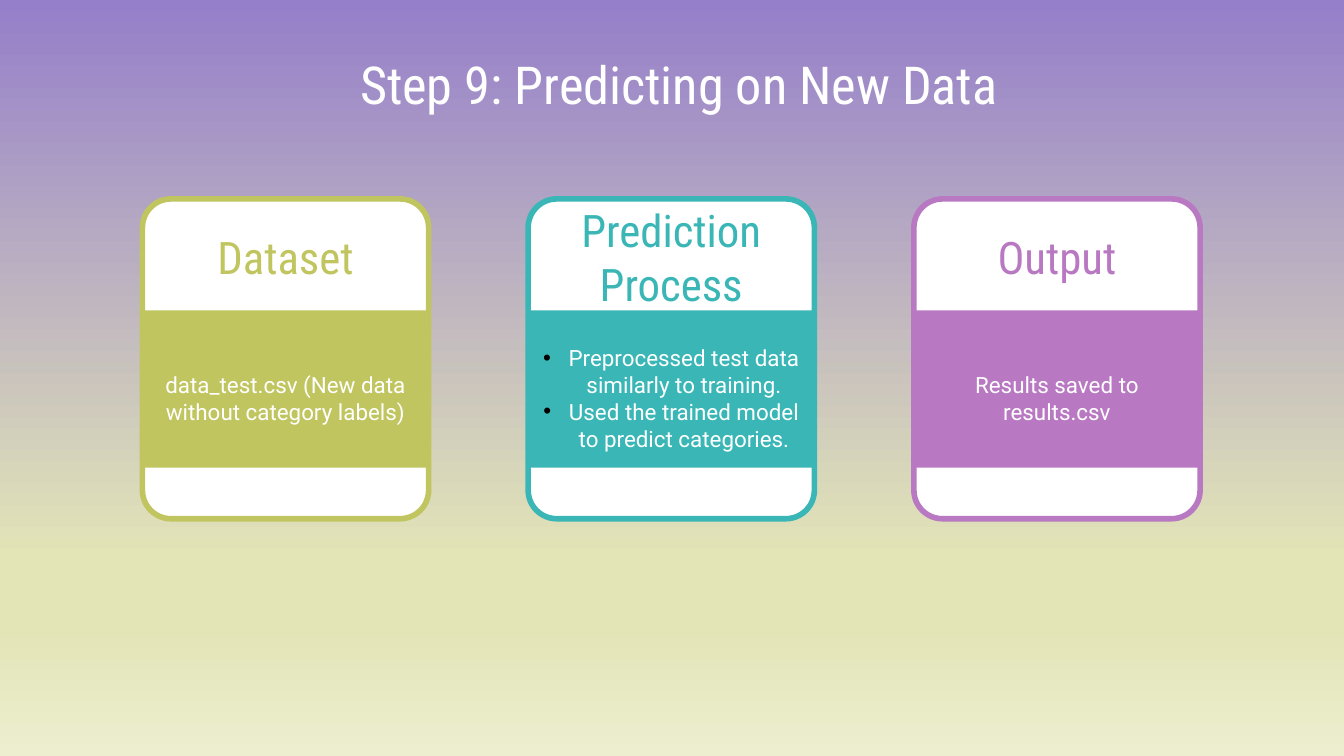
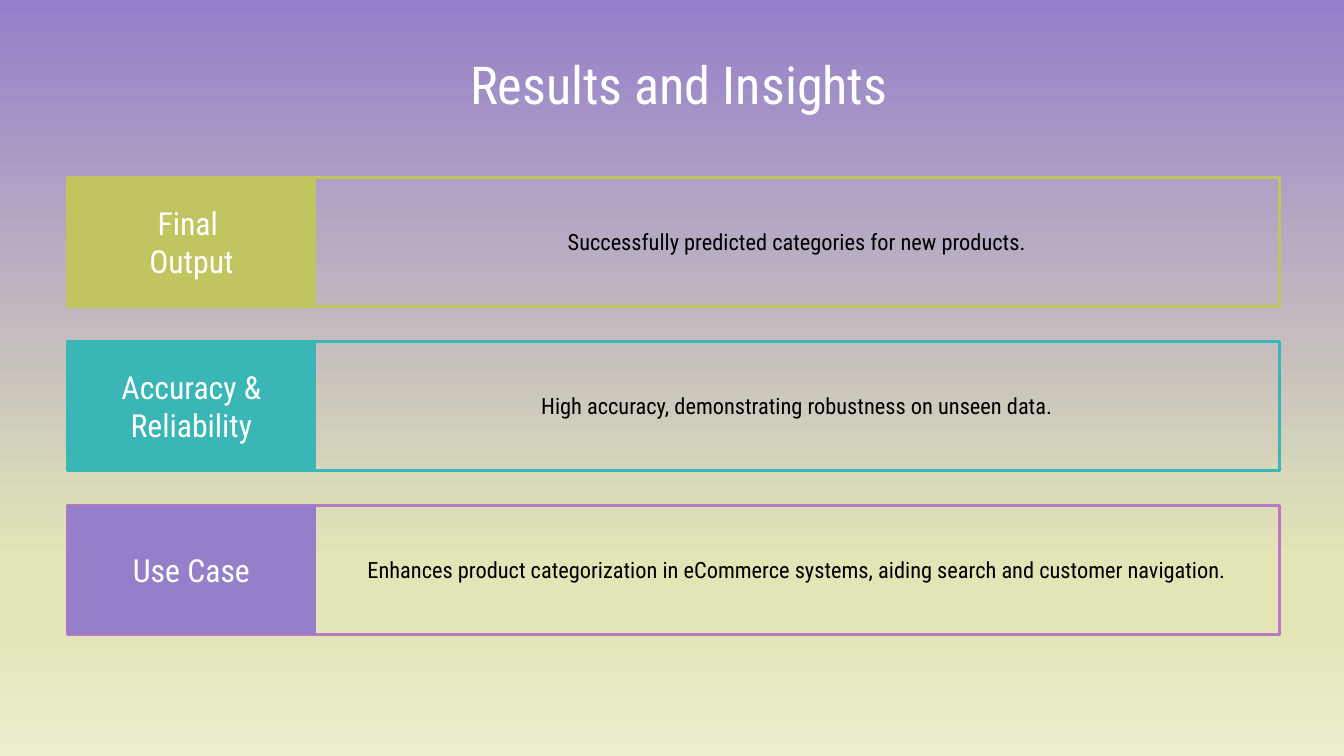
from lxml import etree
from pptx import Presentation
from pptx.dml.color import RGBColor
from pptx.enum import shapes, text
from pptx.oxml.ns import qn
from pptx.util import Inches, Pt

WHITE = RGBColor(0xFF, 0xFF, 0xFF)
BLACK = RGBColor(0x00, 0x00, 0x00)
OLIVE = RGBColor(0xC0, 0xC5, 0x5F)
TEAL = RGBColor(0x39, 0xB6, 0xB5)
ORCHID = RGBColor(0xB8, 0x78, 0xC2)
VIOLET = RGBColor(0x95, 0x7F, 0xCA)
CREAM = RGBColor(0xE3, 0xE5, 0xB7)
PALE = RGBColor(0xEC, 0xEE, 0xCF)

BACKGROUND_STOPS = [(0, VIOLET), (74, CREAM), (83, CREAM), (100, PALE)]
HEADING_FONT = "Roboto Condensed"
BODY_FONT = "Roboto"
RECTANGLE = shapes.MSO_SHAPE.RECTANGLE
ROUNDED = shapes.MSO_SHAPE.ROUNDED_RECTANGLE


class Deck:
    """Holds the shared style and the slide being filled."""

    def __init__(self):
        self.presentation = Presentation()
        self.presentation.slide_width = Inches(10)
        self.presentation.slide_height = Inches(10 * 9 / 16)
        self.slide = None

    def new_slide(self, title):
        blank = self.presentation.slide_layouts[6]
        self.slide = self.presentation.slides.add_slide(blank)
        self.paint_background()
        self.text(2.35, 0.45, 5.4, 0.35, [title], 28, WHITE)

    def paint_background(self):
        fill = self.slide.background.fill
        fill.gradient()
        fill.gradient_angle = 270
        stops = next(self.slide.element.iter(qn("a:gsLst")))
        for stop in list(stops):
            stops.remove(stop)
        for percent, color in BACKGROUND_STOPS:
            stop = etree.SubElement(stops, qn("a:gs"), pos=str(percent * 1000))
            etree.SubElement(stop, qn("a:srgbClr"), val=str(color))

    def box(self, kind, left, top, width, height, fill=None, line=None, weight=1.5, corner=None):
        shape = self.slide.shapes.add_shape(
            kind, Inches(left), Inches(top), Inches(width), Inches(height))
        shape.shadow.inherit = False
        if corner is not None:
            shape.adjustments[0] = corner
        if fill is None:
            shape.fill.background()
        else:
            shape.fill.solid()
            shape.fill.fore_color.rgb = fill
        if line is None:
            shape.line.fill.background()
        else:
            shape.line.color.rgb = line
            shape.line.width = Pt(weight)

    def text(self, left, top, width, height, lines, size, color,
             font=HEADING_FONT, inset=0.1, bullets=False):
        """Adds centred text, one paragraph a line; inset is the top and bottom margin."""
        shape = self.slide.shapes.add_textbox(
            Inches(left), Inches(top), Inches(width), Inches(height))
        frame = shape.text_frame
        frame.word_wrap = True
        frame.vertical_anchor = text.MSO_ANCHOR.MIDDLE
        frame.margin_left = frame.margin_right = Inches(0.1)
        frame.margin_top = frame.margin_bottom = Inches(inset)
        for index, line in enumerate(lines):
            paragraph = frame.add_paragraph() if index else frame.paragraphs[0]
            paragraph.alignment = text.PP_ALIGN.CENTER
            if bullets:
                self.bullet(paragraph)
            run = paragraph.add_run()
            run.text = line
            run.font.size = Pt(size)
            run.font.name = font
            run.font.color.rgb = color

    def bullet(self, paragraph):
        properties = paragraph._p.get_or_add_pPr()
        indent = Inches(0.19)
        properties.set("marL", str(indent))
        properties.set("indent", str(-indent))
        color = etree.SubElement(properties, qn("a:buClr"))
        etree.SubElement(color, qn("a:srgbClr"), val=str(BLACK))
        etree.SubElement(properties, qn("a:buFont"), typeface="Arial")
        etree.SubElement(properties, qn("a:buChar"), char="•")

    def card(self, left, heading, lines, color):
        width = 2.13
        self.box(ROUNDED, left, 1.48, width, 2.38, WHITE, color, 3, corner=0.1)
        self.box(RECTANGLE, left, 2.31, width, 1.17, color)
        self.text(left, 1.69, width, 0.44, [heading], 24, color, inset=0.05)
        self.text(left, 2.34, width, 1.24, lines, 12, WHITE, BODY_FONT,
                  inset=0.05, bullets=len(lines) > 1)

    def labelled_row(self, top, label, statement, outline, label_fill):
        left, height, label_width = 0.5, 0.96, 1.85
        text_height, gap = 0.79, 0.06
        text_top = top + (height - text_height) / 2
        self.box(RECTANGLE, left, top, 9.02, height, line=outline)
        self.box(ROUNDED, left, top, label_width, height, label_fill, corner=0)
        self.text(left + gap, text_top, 1.73, text_height, label, 17, WHITE)
        self.text(left + label_width + gap, text_top, 7.04, text_height,
                  [statement], 12, BLACK)


def build_prediction(deck):
    deck.new_slide("Step 9: Predicting on New Data")
    cards = [
        ("Dataset", ["data_test.csv (New data without category labels)"], OLIVE),
        ("Prediction Process", ["Preprocessed test data similarly to training.",
                                "Used the trained model to predict categories."], TEAL),
        ("Output", ["Results saved to results.csv"], ORCHID),
    ]
    for index, card in enumerate(cards):
        deck.card(1.06 + 2.87 * index, *card)


def build_results(deck):
    deck.new_slide("Results and Insights")
    rows = [
        (["Final ", "Output"], "Successfully predicted categories for new products.",
         OLIVE, OLIVE),
        (["Accuracy & Reliability"], "High accuracy, demonstrating robustness on unseen data.",
         TEAL, TEAL),
        (["Use Case"], "Enhances product categorization in eCommerce systems, "
         "aiding search and customer navigation.", ORCHID, VIOLET),
    ]
    for index, row in enumerate(rows):
        deck.labelled_row(1.32 + 1.22 * index, *row)


def main():
    deck = Deck()
    build_prediction(deck)
    build_results(deck)
    deck.presentation.save("out.pptx")


if __name__ == "__main__":
    main()
